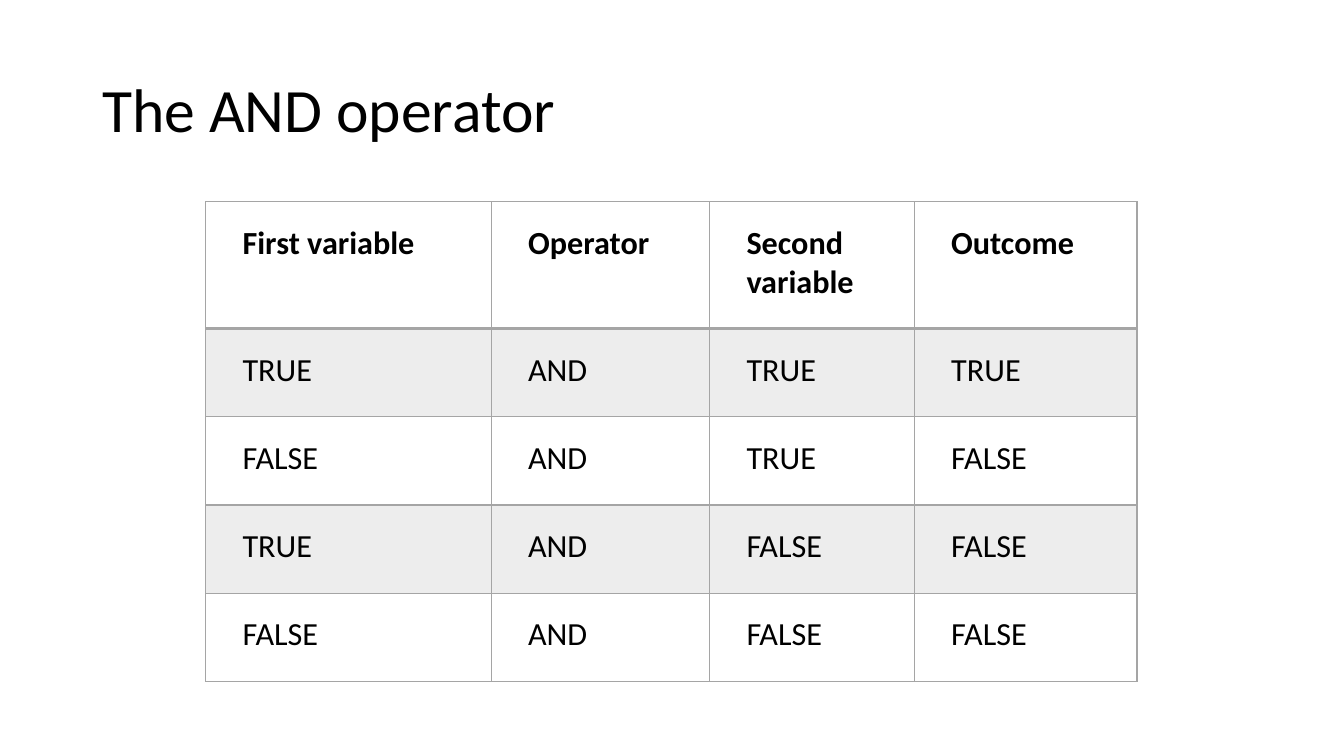
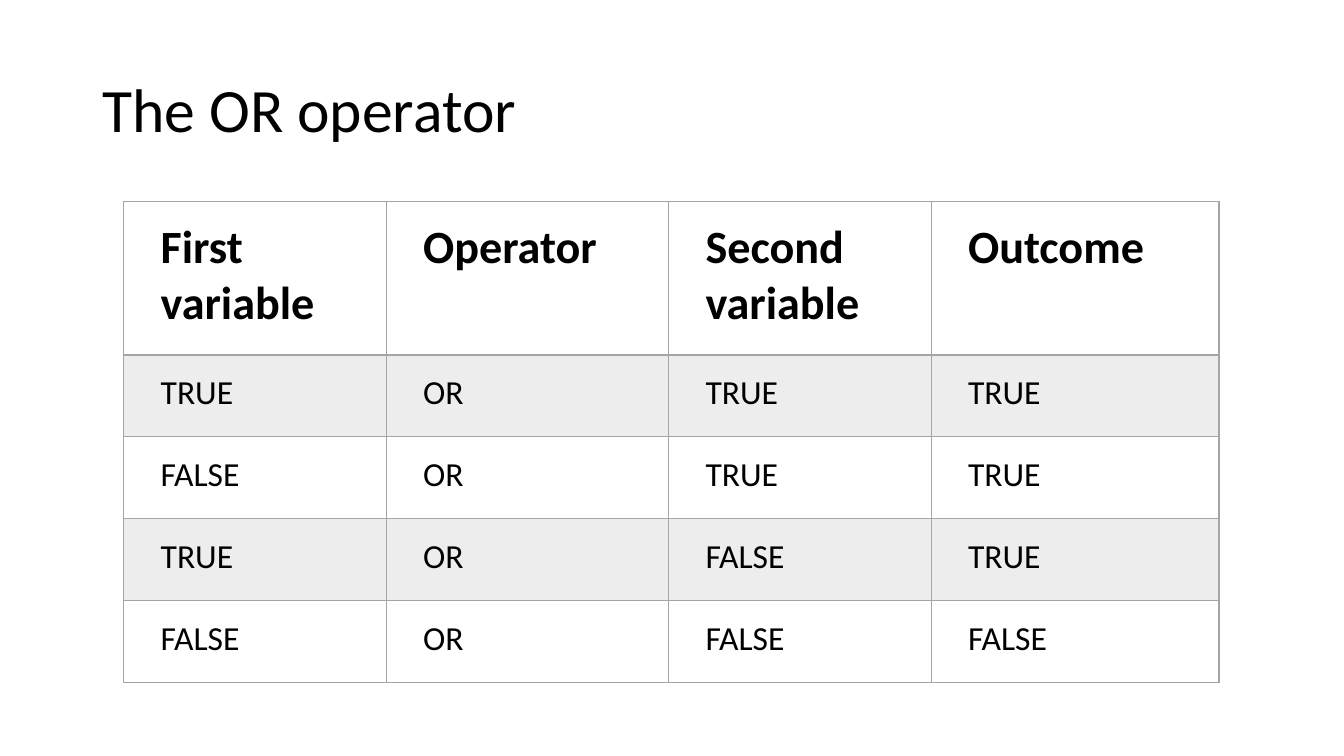
from lxml import etree
from pptx import Presentation
from pptx.dml.color import RGBColor
from pptx.enum.text import MSO_ANCHOR, MSO_AUTO_SIZE, PP_ALIGN
from pptx.oxml.ns import qn
from pptx.util import Emu, Pt

MIDDLE = MSO_ANCHOR.MIDDLE
TOP = MSO_ANCHOR.TOP
NO_AUTOFIT = MSO_AUTO_SIZE.NONE
LEFT = PP_ALIGN.LEFT

EMU_PER_PX = 9525
SLIDE_SIZE = (1280, 720)
TITLE_ONLY = 5
BORDER_SIDES = ("L", "R", "T", "B")
HEADINGS = ("First variable", "Operator", "Second variable", "Outcome")
INPUTS = (("TRUE", "TRUE"), ("FALSE", "TRUE"), ("TRUE", "FALSE"), ("FALSE", "FALSE"))


def px(length):
    return Emu(length * EMU_PER_PX)


def colour(value):
    return RGBColor.from_string(value)


def set_values(target, values):
    for name, value in values.items():
        setattr(target, name, value)


class Deck:
    FONT = "Calibri"
    TEXT = "000000"
    GREY = "A5A5A5"
    BAND_ALPHA = 20
    TITLE_BOX = (88, 38, 1104, 139)
    TABLE_TOP = 192
    LINE_WIDTH = 1
    HEADER_LINE_WIDTH = 2

    def __init__(self):
        self.presentation = Presentation()
        width, height = map(px, SLIDE_SIZE)
        set_values(self.presentation, {"slide_width": width, "slide_height": height})
        self.slide = None

    def add_slide(self, title):
        layout = self.presentation.slide_layouts[TITLE_ONLY]
        self.slide = self.presentation.slides.add_slide(layout)
        shape = self.slide.shapes.title
        set_values(shape, dict(zip(("left", "top", "width", "height"), map(px, self.TITLE_BOX))))
        frame = shape.text_frame
        set_values(frame, {"text": title, "vertical_anchor": MIDDLE,
                           "auto_size": NO_AUTOFIT, "word_wrap": True})
        paragraph = frame.paragraphs[0]
        set_values(paragraph, {"alignment": LEFT, "line_spacing": 0.9})
        self.style_font(paragraph, 44)

    def style_font(self, paragraph, size, bold=False):
        font = paragraph.runs[0].font
        set_values(font, {"name": self.FONT, "size": Pt(size), "bold": bold})
        font.color.rgb = colour(self.TEXT)

    def add_borders(self, cell, row):
        properties = cell._tc.get_or_add_tcPr()
        for side in BORDER_SIDES:
            under_header = (row, side) in ((0, "B"), (1, "T"))
            width = self.HEADER_LINE_WIDTH if under_header else self.LINE_WIDTH
            line = etree.SubElement(properties, qn("a:ln" + side), w=str(Pt(width)))
            fill = etree.SubElement(line, qn("a:solidFill"))
            etree.SubElement(fill, qn("a:srgbClr"), val=self.GREY)

    def fill_cell(self, cell, banded):
        if not banded:
            cell.fill.background()
            return
        cell.fill.solid()
        cell.fill.fore_color.rgb = colour(self.GREY)
        fill_colour = cell._tc.tcPr.find(qn("a:solidFill")).find(qn("a:srgbClr"))
        etree.SubElement(fill_colour, qn("a:alpha"), val=str(self.BAND_ALPHA * 1000))

    def add_table(self, rows, left, widths, heights, margins, sizes):
        header_height, body_height = heights
        header_size, body_size = sizes
        row_heights = [header_height] + [body_height] * (len(rows) - 1)
        frame = self.slide.shapes.add_table(
            len(rows), len(widths), px(left), px(self.TABLE_TOP),
            px(sum(widths)), px(sum(row_heights)))
        table = frame.table
        table.horz_banding = False
        for column, width in zip(table.columns, widths):
            column.width = px(width)
        for table_row, height in zip(table.rows, row_heights):
            table_row.height = px(height)
        margin_names = ("margin_left", "margin_top", "margin_right", "margin_bottom")
        cell_format = dict(zip(margin_names, map(px, margins)), vertical_anchor=TOP)
        for row, values in enumerate(rows):
            header = row == 0
            for column, value in enumerate(values):
                cell = table.cell(row, column)
                set_values(cell, {"text": value, **cell_format})
                self.style_font(cell.text_frame.paragraphs[0],
                                header_size if header else body_size, header)
                self.add_borders(cell, row)
                self.fill_cell(cell, row % 2 == 1)

    def add_truth_table(self, operator, outcomes, **layout):
        self.add_slide(f"The {operator} operator")
        body = [(first, operator, second, outcome)
                for (first, second), outcome in zip(INPUTS, outcomes)]
        self.add_table([HEADINGS, *body], **layout)


def main():
    deck = Deck()
    deck.add_truth_table(
        "AND", ("TRUE", "FALSE", "FALSE", "FALSE"),
        left=196, widths=(272, 208, 195, 212), heights=(121, 84),
        margins=(35, 21, 21, 21), sizes=(23, 23))
    deck.add_truth_table(
        "OR", ("TRUE", "TRUE", "TRUE", "FALSE"),
        left=118, widths=(250, 269, 250, 274), heights=(146, 78),
        margins=(35, 17, 27, 17), sizes=(33, 24))
    deck.presentation.save("out.pptx")


if __name__ == "__main__":
    main()
